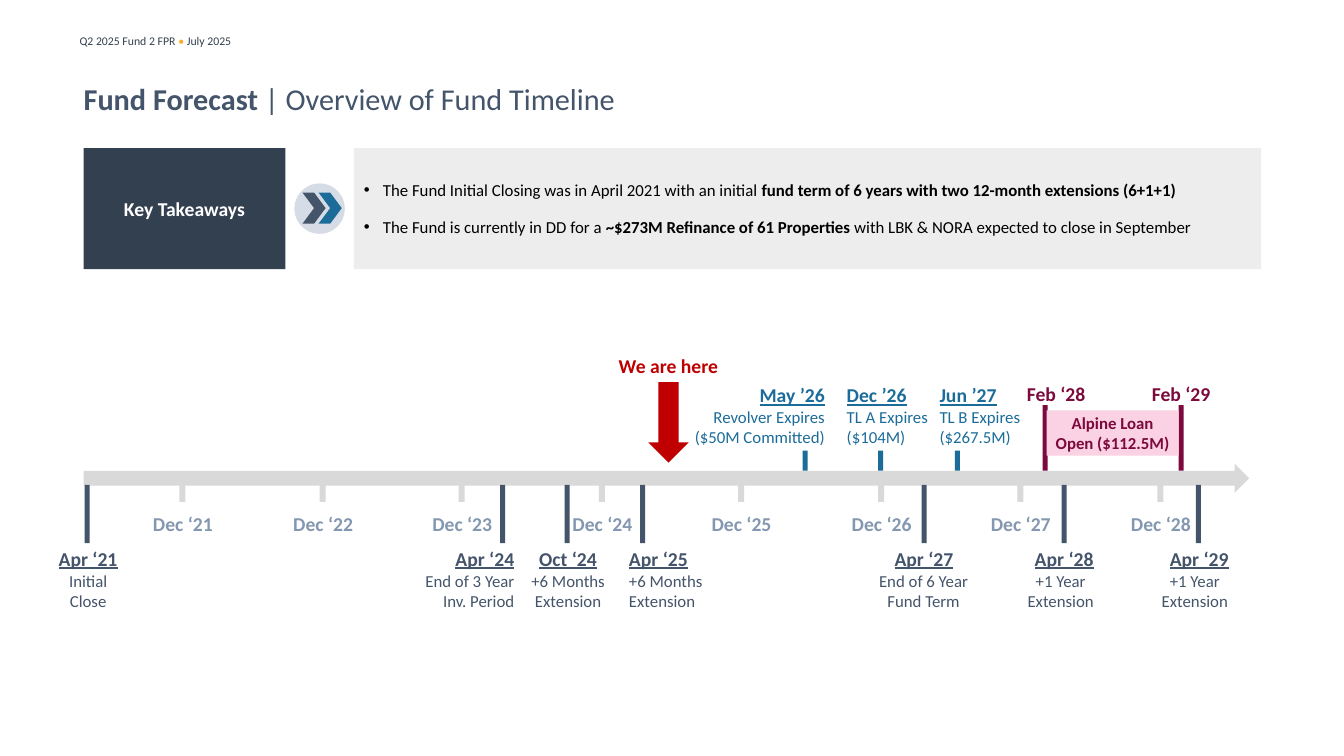
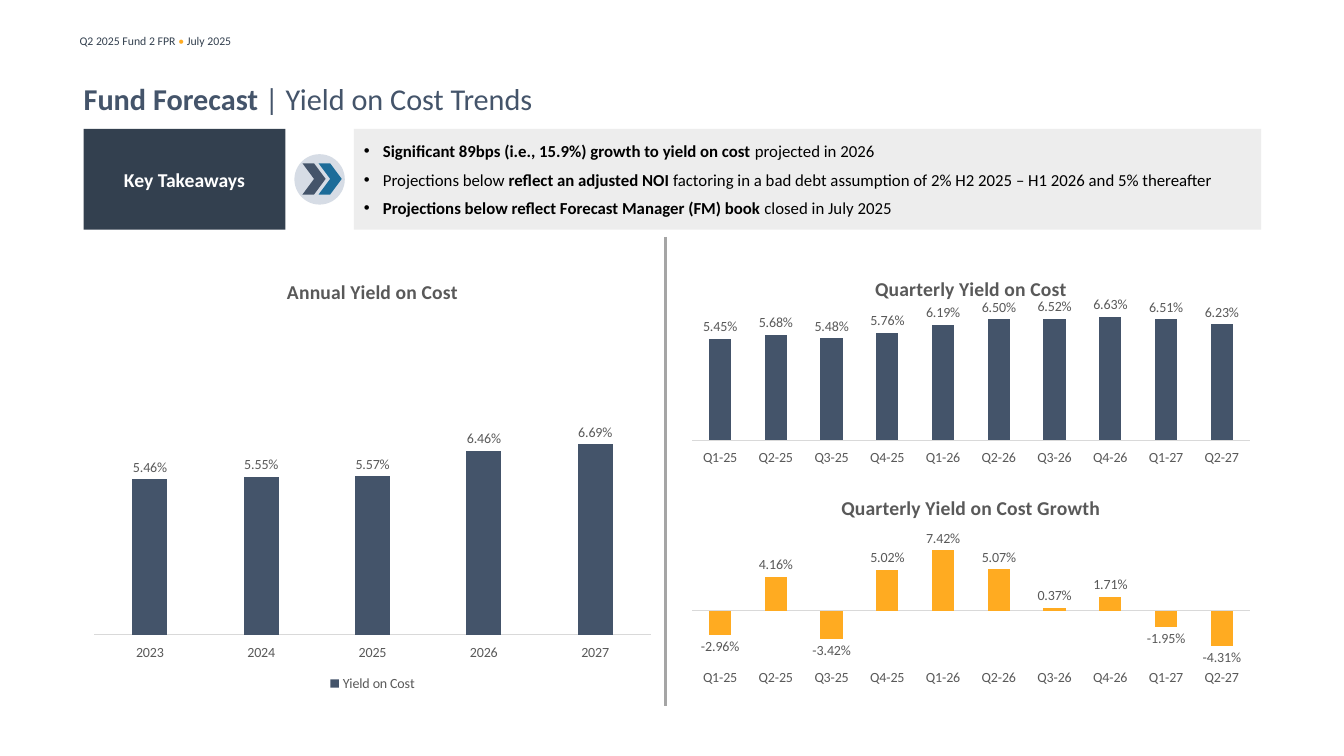
"""Build two fund forecast slides: a timeline and yield on cost trends."""
from lxml import etree
from pptx import Presentation
from pptx.chart.data import CategoryChartData
from pptx.dml.color import RGBColor
from pptx.enum.chart import (XL_CHART_TYPE, XL_LABEL_POSITION, XL_LEGEND_POSITION,
                             XL_TICK_LABEL_POSITION, XL_TICK_MARK)
from pptx.enum.shapes import MSO_CONNECTOR, MSO_SHAPE
from pptx.enum.text import MSO_ANCHOR, PP_ALIGN
from pptx.oxml.ns import qn
from pptx.util import Emu, Pt

PX = 9144
FONT = "Calibri"
NAVY, SLATE, MIST, BLUE = "33404F", "44546A", "8497B0", "1C6C99"
GOLD, RED, WINE, PINK = "FFAB21", "C00000", "7C0A3C", "FBD2E4"
PALE, LIGHT, RULE, GREY = "D6DCE5", "EDEDED", "D9D9D9", "595959"
BLACK, WHITE, STEEL = "000000", "FFFFFF", "A5A5A5"
LEFT, MID, RIGHT = PP_ALIGN.LEFT, PP_ALIGN.CENTER, PP_ALIGN.RIGHT
TOP, HALF = MSO_ANCHOR.TOP, MSO_ANCHOR.MIDDLE
RECT, OVAL, CHEVRON = MSO_SHAPE.RECTANGLE, MSO_SHAPE.OVAL, MSO_SHAPE.CHEVRON
ACROSS, DOWN = MSO_SHAPE.RIGHT_ARROW, MSO_SHAPE.DOWN_ARROW
STRAIGHT = MSO_CONNECTOR.STRAIGHT
COLUMN = XL_CHART_TYPE.COLUMN_CLUSTERED
ABOVE, BASE = XL_LABEL_POSITION.OUTSIDE_END, XL_LEGEND_POSITION.BOTTOM
LOW, BARE = XL_TICK_LABEL_POSITION.LOW, XL_TICK_LABEL_POSITION.NONE
CLEAR = XL_TICK_MARK.NONE

QUARTERS = ["Q1-25", "Q2-25", "Q3-25", "Q4-25", "Q1-26",
            "Q2-26", "Q3-26", "Q4-26", "Q1-27", "Q2-27"]
YEARS = ["Dec ‘21", "Dec ‘22", "Dec ‘23", "Dec ‘24",
         "Dec ‘25", "Dec ‘26", "Dec ‘27", "Dec ‘28"]
STAGES = [
    ("Apr ‘21", 84, 36, 36, 103, MID, ["Initial", "Close"]),
    ("Apr ‘24", 496, 417, 410, 110, RIGHT, ["End of 3 Year Inv. Period"]),
    ("Oct ‘24", 560, 512, 512, 103, MID, ["+6 Months Extension"]),
    ("Apr ‘25", 635, 614, 614, 103, LEFT, ["+6 Months Extension"]),
    ("Apr ‘27", 914, 865, 800, 232, MID, ["End of 6 Year", "Fund Term"]),
    ("Apr ‘28", 1053, 1004, 936, 232, MID, ["+1 Year", "Extension"]),
    ("Apr ‘29", 1186, 1138, 1069, 232, MID, ["+1 Year", "Extension"]),
]
LOANS = [
    ("May ’26", 796, 668, 160, RIGHT, "Revolver Expires ($50M Committed)"),
    ("Dec ’26", 871, 830, 110, LEFT, "TL A Expires ($104M)"),
    ("Jun ’27", 947, 922, 110, LEFT, "TL B Expires ($267.5M)"),
]
WINDOW = [("Feb ‘28", 1034, 996), ("Feb ‘29", 1169, 1120)]
TERMS = [
    [("The Fund Initial Closing was in April 2021 with an initial ", False),
     ("fund term of 6 years with two 12-month extensions (6+1+1)", True)],
    [("The Fund is currently in DD for a ", False),
     ("~$273M Refinance of 61 Properties ", True),
     ("with LBK & NORA expected to close in September", False)],
]
TRENDS = [
    [("Significant 89bps (i.e., 15.9%) growth to yield on cost ", True),
     ("projected in 2026", False)],
    [("Projections below ", False), ("reflect an adjusted NOI ", True),
     ("factoring in a bad debt assumption of 2% H2 2025 – H1 2026 and 5% thereafter",
      False)],
    [("Projections below reflect Forecast Manager (FM) book ", True),
     ("closed in July 2025", False)],
]


def color(code):
    """Turn a hex string into a colour."""
    return RGBColor.from_string(code)


def scale(*sizes):
    """Turn px into EMU."""
    return [Emu(size * PX) for size in sizes]


def style(font, size, hue, bold=False):
    """Set the shared face, size, colour and weight of a font."""
    font.name, font.size, font.bold = FONT, Pt(size), bold
    font.color.rgb = color(hue)


def shape(shapes, kind, box, fill):
    """Add a plain filled shape."""
    form = shapes.add_shape(kind, *scale(*box))
    form.shadow.inherit = False
    form.fill.solid()
    form.fill.fore_color.rgb = color(fill)
    form.line.fill.background()
    return form


def setup(form, anchor=HALF, inset=None):
    """Prepare the text frame of a form and return it."""
    frame = form.text_frame
    frame.word_wrap, frame.vertical_anchor = True, anchor
    if inset is not None:
        frame.margin_left = frame.margin_right = Emu(inset * PX)
        frame.margin_top = frame.margin_bottom = Emu(inset * PX)
    return frame


def label(slide, box, anchor=HALF, inset=None):
    """Add a text box and return its frame."""
    return setup(slide.shapes.add_textbox(*scale(*box)), anchor, inset)


def para(frame, text, size, hue, bold=False, align=LEFT, under=False):
    """Write one paragraph from a string or from (text, bold, colour) runs."""
    line = frame.add_paragraph() if frame.text else frame.paragraphs[0]
    line.alignment = align
    style(line.font, size, hue, bold)
    if under:
        line.font.underline = True
    for words, heavy, *tint in [(text, bold)] if isinstance(text, str) else text:
        run = line.add_run()
        run.text = words
        if heavy != bold:
            run.font.bold = heavy
        if tint:
            run.font.color.rgb = color(tint[0])
    return line


def bullet(frame, runs, gap):
    """Write one bulleted paragraph."""
    first = not frame.text
    line = frame.paragraphs[0] if first else frame.add_paragraph()
    props = line._p.get_or_add_pPr()
    props.set("marL", str(19 * PX))
    props.set("indent", str(-19 * PX))
    etree.SubElement(props, qn("a:buFont")).set("typeface", "Arial")
    etree.SubElement(props, qn("a:buChar")).set("char", "•")
    line.alignment = LEFT
    if not first:
        line.space_before = Pt(gap)
    style(line.font, 12, BLACK)
    for words, heavy in runs:
        run = line.add_run()
        run.text = words
        run.font.bold = heavy


def start(deck, topic):
    """Add a slide with its header and title."""
    slide = deck.slides.add_slide(deck.slide_layouts[6])
    head = label(slide, (69, 29, 451, 24), TOP)
    para(head, [("Q2 2025 Fund 2 FPR ", False), ("• ", False, GOLD),
                ("July 2025", False)], 8.4, NAVY)
    title = label(slide, (83, 60, 1102, 75), inset=0)
    para(title, [("Fund Forecast ", True), (f"| {topic}", False)], 21.6, SLATE)
    return slide


def banner(slide, top, height, points, gap):
    """Draw the takeaways band with its badge and bullets."""
    tag = shape(slide.shapes, RECT, (83, top, 200, height), NAVY)
    para(setup(tag), "Key Takeaways", 14, WHITE, True, MID)
    badge = slide.shapes.add_group_shape().shapes
    crown = top + height // 2 - 25
    shape(badge, OVAL, (292, crown, 50, 50), PALE)
    for left, hue in ((300, SLATE), (316, BLUE)):
        shape(badge, CHEVRON, (left, crown + 9, 23, 31), hue)
    frame = setup(shape(slide.shapes, RECT, (351, top, 900, height), LIGHT))
    for runs in points:
        bullet(frame, runs, gap)


def axis(slide):
    """Draw the time arrow with its year marks."""
    shape(slide.shapes, ACROSS, (83, 460, 1156, 29), RULE)
    for i, year in enumerate(YEARS):
        left = round(178 + i * 970 / 7)
        shape(slide.shapes, RECT, (left, 481, 6, 17), RULE)
        para(label(slide, (left - 48, 490, 103, 60)), year, 14, MIST, True, MID)


def stage(slide, date, tick, left, side, width, align, notes):
    """Mark a fund stage below the arrow."""
    shape(slide.shapes, RECT, (tick, 481, 5, 58), SLATE)
    para(label(slide, (left, 524, 103, 60)), date, 14, SLATE, True, align, True)
    frame = label(slide, (side, 566, width, 40))
    for note in notes:
        para(frame, note, 12, SLATE, align=align)


def loan(slide, date, tick, left, width, align, note):
    """Mark a loan expiry above the arrow."""
    shape(slide.shapes, RECT, (tick, 447, 5, 20), BLUE)
    frame = label(slide, (left, 382, width, 60))
    para(frame, date, 14, BLUE, True, align, True)
    para(frame, note, 12, BLUE, align=align)


def window(slide):
    """Draw the span in which the open loan falls due."""
    for date, tick, left in WINDOW:
        shape(slide.shapes, RECT, (tick, 402, 5, 65), WINE)
        para(label(slide, (left, 376, 103, 30)), date, 14, WINE, True, MID)
    span = shape(slide.shapes, RECT, (1038, 407, 131, 45), PINK)
    para(setup(span, inset=5), "Alpine Loan Open ($112.5M)", 12, WINE, True, MID)


def place(chart, spot):
    """Fix the inner plot area at fractions of the chart."""
    area = chart._chartSpace.find(".//" + qn("c:plotArea"))
    old = area.find(qn("c:layout"))
    if old is not None:
        area.remove(old)
    outer = etree.Element(qn("c:layout"))
    inner = etree.SubElement(outer, qn("c:manualLayout"))
    rules = [("layoutTarget", "inner"), ("xMode", "edge"), ("yMode", "edge")]
    for name, value in rules + list(zip("xywh", spot)):
        etree.SubElement(inner, qn(f"c:{name}")).set("val", str(value))
    area.insert(0, outer)


def graph(slide, box, title, cats, name, vals, hue, spot, ends, gap=150):
    """Add a column chart with labelled bars and return it."""
    data = CategoryChartData(number_format="0.00%")
    data.categories = cats
    data.add_series(name, vals)
    chart = slide.shapes.add_chart(COLUMN, *scale(*box), data).chart
    style(chart.font, 10, GREY)
    chart.has_legend = False
    chart.has_title = True
    para(chart.chart_title.text_frame, title, 14, GREY, True, MID)
    base, value = chart.category_axis, chart.value_axis
    base.major_tick_mark = value.major_tick_mark = CLEAR
    base.format.line.color.rgb = color(RULE)
    base.format.line.width = Pt(0.75)
    base.tick_label_position = LOW
    value.tick_label_position = BARE
    value.has_major_gridlines = False
    value.format.line.fill.background()
    value.minimum_scale, value.maximum_scale = ends
    plot = chart.plots[0]
    plot.gap_width, plot.vary_by_categories = gap, False
    bars = plot.series[0]
    bars.invert_if_negative = False
    bars.format.fill.solid()
    bars.format.fill.fore_color.rgb = color(hue)
    tags = bars.data_labels
    tags.show_value, tags.position = True, ABOVE
    tags.number_format, tags.number_format_is_linked = "0.00%", False
    style(tags.font, 10, GREY)
    place(chart, spot)
    return chart


def legend(chart):
    """Show the legend below the chart."""
    chart.has_legend = True
    chart.legend.position = BASE
    chart.legend.include_in_layout = False
    style(chart.legend.font, 10, GREY)


def divide(slide):
    """Draw the upright rule between the charts."""
    line = slide.shapes.add_connector(STRAIGHT, *scale(660, 235, 660, 700))
    line.line.color.rgb = color(STEEL)
    line.line.width = Pt(2.25)
    etree.SubElement(line._element.spPr, qn("a:effectLst"))


def main():
    """Build and save the deck."""
    deck = Presentation()
    deck.slide_width, deck.slide_height = scale(1333, 750)

    slide = start(deck, "Overview of Fund Timeline")
    banner(slide, 147, 120, TERMS, 12)
    axis(slide)
    for row in STAGES:
        stage(slide, *row)
    for row in LOANS:
        loan(slide, *row)
    window(slide)
    shape(slide.shapes, DOWN, (643, 379, 40, 80), RED)
    para(label(slide, (593, 346, 140, 33)), "We are here", 14, RED, True, MID)

    slide = start(deck, "Yield on Cost Trends")
    banner(slide, 128, 100, TRENDS, 6)
    divide(slide)
    graph(slide, (675, 477, 576, 209), "Quarterly Yield on Cost Growth", QUARTERS,
          "Series 1", [-0.0296, 0.0416, -0.0342, 0.0502, 0.0742,
                       0.0507, 0.0037, 0.0171, -0.0195, -0.0431],
          GOLD, (0.02, 0.23, 0.96, 0.62), (-0.06, 0.1))
    graph(slide, (675, 260, 576, 208), "Quarterly Yield on Cost", QUARTERS,
          "Quarterly Yield on Cost", [0.0545, 0.0568, 0.0548, 0.0576, 0.0619,
                                      0.065, 0.0652, 0.0663, 0.0651, 0.0623],
          SLATE, (0.02, 0.14, 0.96, 0.71), (0, 0.08))
    chart = graph(slide, (82, 259, 575, 431), "Annual Yield on Cost",
                  ["2023", "2024", "2025", "2026", "2027"], "Yield on Cost",
                  [0.0546, 0.0555, 0.0557, 0.0646, 0.0669],
                  SLATE, (0.02, 0.14, 0.96, 0.72), (0, 0.11), 219)
    legend(chart)
    deck.save("out.pptx")


if __name__ == "__main__":
    main()
